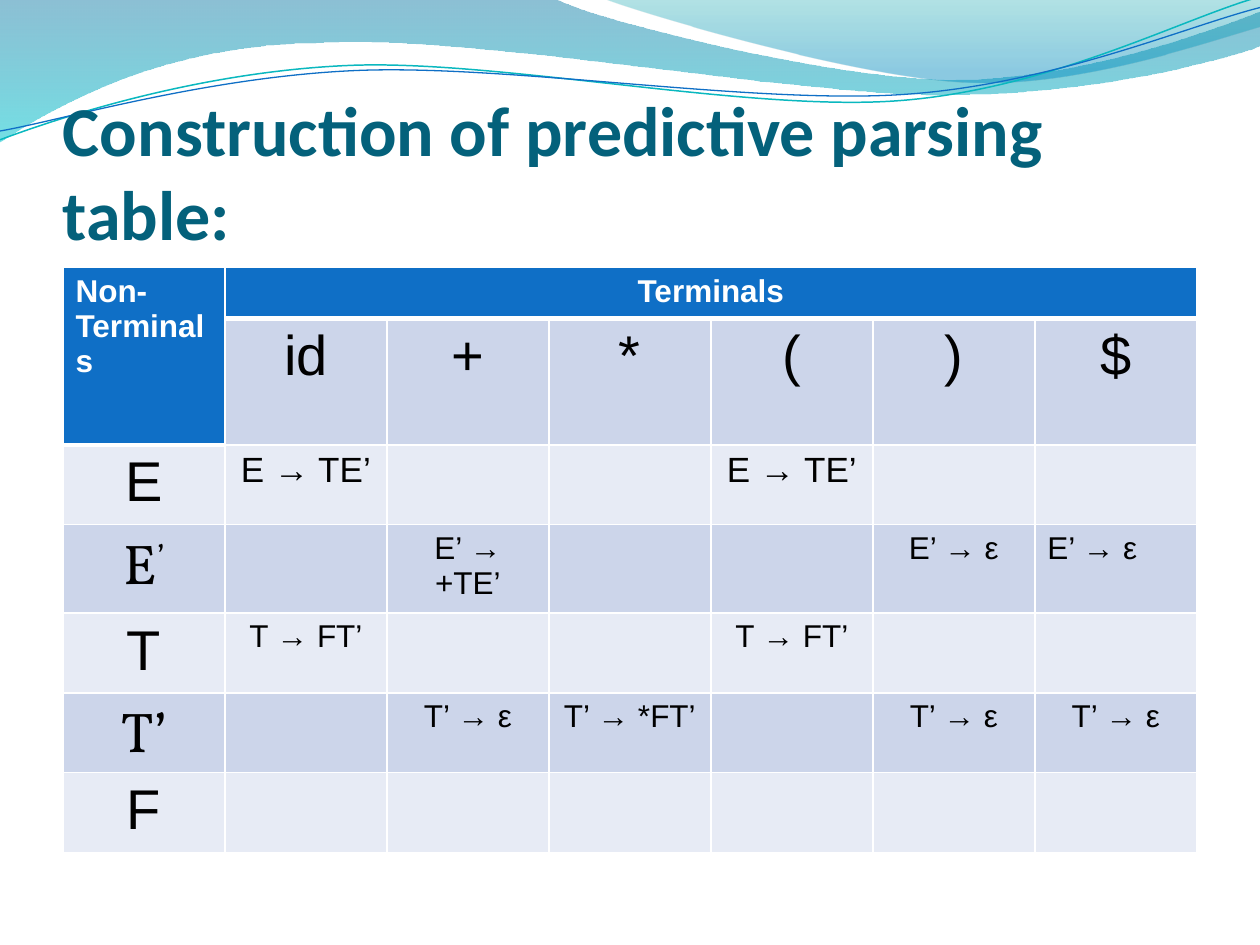
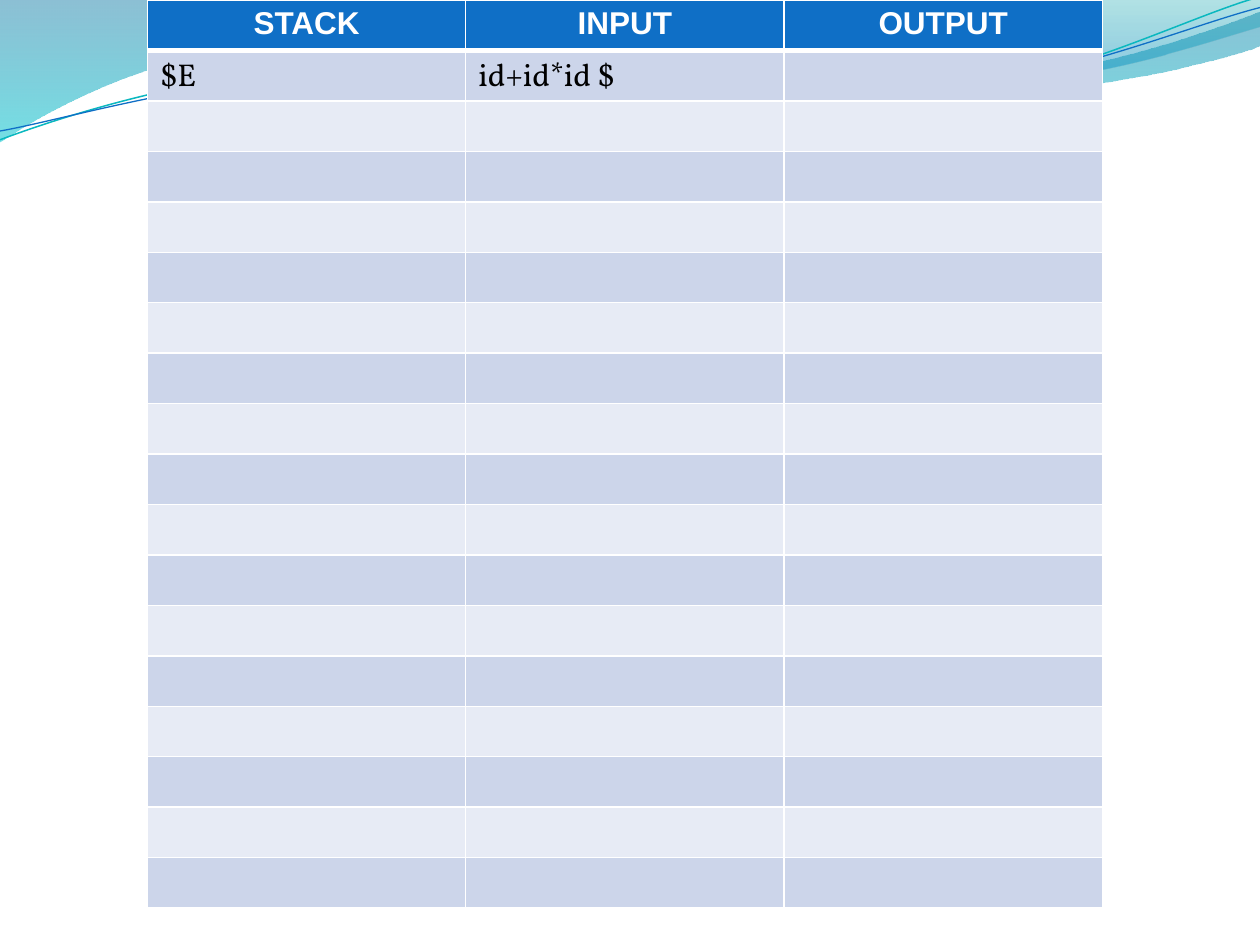
"""Build two slides on predictive parsing: the parsing table and the parser trace."""
from copy import deepcopy
from dataclasses import dataclass

from lxml import etree
from pptx import Presentation
from pptx import util as u
from pptx.dml import color
from pptx.enum import text
from pptx.oxml import ns

HEADER_BLUE, WHITE, BLACK = "0F6FC6", "FFFFFF", "000000"
BANDS = ("E7EBF5", "CCD5EA")
SANS, SERIF, TITLE_FONT = "Arial", "Vollkorn", "Calibri"
LEFT, CENTER = text.PP_ALIGN.LEFT, text.PP_ALIGN.CENTER

Point = tuple[float, float]


@dataclass(frozen=True)
class Stop:
    """One gradient stop, with position and opacity as fractions."""
    position: float
    tint: str
    opacity: float


@dataclass(frozen=True)
class Wave:
    """A wave outline: a start, then lines of one point and curves of three."""
    start: Point
    segments: tuple[tuple[Point, ...], ...]
    stops: tuple[Stop, ...] = ()
    stroke: str = ""
    weight: float = 0


@dataclass(frozen=True)
class Entry:
    """The wording of one table cell; raised text follows as a superscript."""
    row: int
    column: int
    wording: str
    size: int = 18
    font: str = SANS
    align: text.PP_ALIGN = CENTER
    raised: str = ""


@dataclass(frozen=True)
class Grid:
    """A table with its place, least row height, entries and header cells."""
    left: float
    top: float
    width: float
    height: float
    rows: int
    columns: int
    row_height: float
    empty_font: str
    entries: tuple[Entry, ...]
    headers: frozenset[tuple[int, int]]
    merges: tuple[tuple[int, int, int, int], ...] = ()


WAVES = (
    Wave((0, -0.01), (
        ((4.4, -0.01),),
        ((4.76, 0.17), (6.64, 0.63), (7.58, 0.63)),
        ((8.53, 0.63), (9.58, 0.26), (10, 0.09)),
        ((10.01, 0.36),),
        ((9.83, 0.44), (8.7, 0.76), (7.46, 0.75)),
        ((6.22, 0.75), (3.82, 0.28), (2.57, 0.34)),
        ((1.29, 0.35), (0.46, 0.83), (-0.01, 1.13))),
        stops=(Stop(0, "0074A1", 0.45), Stop(1, "00C6CF", 0.55))),
    Wave((4.79, -0.01), (
        ((5.09, 0.11), (6.82, 0.62), (7.69, 0.65)),
        ((8.56, 0.69), (9.61, 0.32), (10, 0.21)),
        ((10, 0),)),
        stops=(Stop(0, "00A1A9", 0.3), Stop(0.8, "008BBF", 0.45))),
    Wave((0, 1.11), (
        ((0.48, 0.93), (1.58, 0.57), (2.77, 0.52)),
        ((3.95, 0.47), (5.93, 0.89), (7.13, 0.8)),
        ((8.33, 0.71), (9.38, 0.15), (9.98, -0.02))),
        stroke="0AB8BF", weight=0.85),
    Wave((0, 1.04), (
        ((0.47, 0.96), (1.64, 0.61), (2.83, 0.56)),
        ((4.03, 0.51), (5.97, 0.83), (7.17, 0.75)),
        ((8.36, 0.67), (9.41, 0.21), (10, 0.06))),
        stroke=HEADER_BLUE, weight=0.75),
)

TERMINALS = ("id", "+", "*", "(", ")", "$")

PARSING_TABLE = Grid(
    0.5, 2.12, 9, 4.21, 7, 7, 0.41, SANS,
    (
        Entry(0, 0, "Non-Terminals", align=LEFT),
        Entry(0, 1, "Terminals"),
        *(Entry(1, column, terminal, 32) for column, terminal in enumerate(TERMINALS, 1)),
        Entry(2, 0, "E", 32),
        Entry(3, 0, "E", 32, SERIF, raised="’"),
        Entry(4, 0, "T", 32),
        Entry(5, 0, "T’", 32, SERIF),
        Entry(6, 0, "F", 32),
        *(Entry(2, column, "E → TE’", 20) for column in (1, 4)),
        Entry(3, 2, "E’ → +TE’"),
        Entry(3, 5, "E’ → ε"),
        Entry(3, 6, "E’ → ε", align=LEFT),
        *(Entry(4, column, "T → FT’") for column in (1, 4)),
        *(Entry(5, column, "T’ → ε") for column in (2, 5, 6)),
        Entry(5, 3, "T’ → *FT’"),
    ),
    frozenset({(1, 0), *((0, column) for column in range(7))}),
    ((0, 0, 1, 0), (0, 1, 0, 6)),
)

PARSER_TRACE = Grid(
    1.17, 0, 7.58, 7.2, 18, 3, 0.32, SERIF,
    (
        *(Entry(0, column, label) for column, label in enumerate(("STACK", "INPUT", "OUTPUT"))),
        Entry(1, 0, "$E", font=SERIF, align=LEFT),
        Entry(1, 1, "id+id*id $", font=SERIF, align=LEFT),
    ),
    frozenset((0, column) for column in range(3)),
)


def rgb(value: str) -> color.RGBColor:
    """Turn a hex string into a colour."""
    return color.RGBColor.from_string(value)


def bend(shape, segments: tuple[tuple[Point, ...], ...]) -> None:
    """Join the straight steps of each three-point segment into one curve."""
    steps = iter(list(shape.element.iter(ns.qn("a:lnTo"))))
    for segment in segments:
        parts = [next(steps) for _ in segment]
        if len(parts) == 3:
            curve = etree.Element(ns.qn("a:cubicBezTo"))
            parts[0].addprevious(curve)
            for part in parts:
                curve.append(part[0])
                part.getparent().remove(part)


def draw_wave(slide, wave: Wave) -> None:
    """Draw one wave as a gradient band or as a thin line."""
    points = [wave.start, *(point for segment in wave.segments for point in segment)]
    outline = [(u.Inches(x), u.Inches(y)) for x, y in points]
    builder = slide.shapes.build_freeform(*outline[0])
    builder.add_line_segments(outline[1:], close=bool(wave.stops))
    shape = builder.convert_to_shape()
    bend(shape, wave.segments)
    shape.shadow.inherit = False
    if not wave.stops:
        shape.fill.background()
        shape.line.color.rgb = rgb(wave.stroke)
        shape.line.width = u.Pt(wave.weight)
        return
    shape.line.fill.background()
    shape.fill.gradient()
    shape.fill.gradient_angle = 270
    for gradient_stop, stop in zip(shape.fill.gradient_stops, wave.stops):
        gradient_stop.position = stop.position
        gradient_stop.color.rgb = rgb(stop.tint)
    for tint, stop in zip(shape.element.iter(ns.qn("a:srgbClr")), wave.stops):
        etree.SubElement(tint, ns.qn("a:alpha"), val=str(round(stop.opacity * 100000)))


def style(paragraph, font: str, size: int, ink: str, bold: bool) -> None:
    """Set the font of a whole paragraph, its end mark included."""
    paragraph.font.name = font
    paragraph.font.size = u.Pt(size)
    paragraph.font.color.rgb = rgb(ink)
    paragraph.font.bold = bold
    end_mark = deepcopy(paragraph.font._element)
    end_mark.tag = ns.qn("a:endParaRPr")
    paragraph._p.append(end_mark)


def draw_title(slide, wording: str) -> None:
    """Write the slide title, resting on the bottom of its box."""
    box = slide.shapes.add_textbox(u.Inches(0.5), u.Inches(0.77), u.Inches(9), u.Inches(1.25))
    frame = box.text_frame
    frame.word_wrap = True
    frame.vertical_anchor = text.MSO_ANCHOR.BOTTOM
    frame.margin_left = frame.margin_right = frame.margin_bottom = 0
    frame.margin_top = u.Inches(0.05)
    heading = frame.paragraphs[0]
    heading.text = wording
    style(heading, TITLE_FONT, 40, "04617B", True)


def set_borders(cell, top: float, bottom: float) -> None:
    """Give a cell white borders, placed ahead of its fill."""
    properties = cell._tc.get_or_add_tcPr()
    for index, (side, weight) in enumerate((("L", 1), ("R", 1), ("T", top), ("B", bottom))):
        border = etree.Element(ns.qn(f"a:ln{side}"), w=str(u.Pt(weight)))
        paint = etree.SubElement(border, ns.qn("a:solidFill"))
        etree.SubElement(paint, ns.qn("a:srgbClr"), val=WHITE)
        properties.insert(index, border)


def write_entry(cell, entry: Entry, is_header: bool) -> None:
    """Write one entry into its cell."""
    paragraph = cell.text_frame.paragraphs[0]
    paragraph.alignment = entry.align
    if entry.wording:
        paragraph.add_run().text = entry.wording
    if entry.raised:
        superscript = paragraph.add_run()
        superscript.text = entry.raised
        superscript.font._element.set("baseline", "30000")
    style(paragraph, entry.font, entry.size, WHITE if is_header else BLACK, is_header)


def draw_grid(slide, grid: Grid) -> None:
    """Draw a banded table with blue header cells."""
    frame = slide.shapes.add_table(
        grid.rows, grid.columns, u.Inches(grid.left), u.Inches(grid.top),
        u.Inches(grid.width), u.Inches(grid.height))
    table = frame.table
    table.first_row = table.horz_banding = False
    entries = {(entry.row, entry.column): entry for entry in grid.entries}
    for row in range(grid.rows):
        table.rows[row].height = u.Inches(grid.row_height)
        for column in range(grid.columns):
            place = (row, column)
            cell = table.cell(*place)
            is_header = place in grid.headers
            below_header = (row - 1, column) in grid.headers and not is_header
            cell.fill.solid()
            cell.fill.fore_color.rgb = rgb(HEADER_BLUE if is_header else BANDS[row % 2])
            set_borders(cell, 3 if below_header else 1, 3 if is_header else 1)
            empty = Entry(row, column, "", font=grid.empty_font, align=LEFT)
            write_entry(cell, entries.get(place, empty), is_header)
    for top, left, bottom, right in grid.merges:
        table.cell(top, left).merge(table.cell(bottom, right))
    frame.height = u.Inches(grid.height)


def add_slide(deck, grid: Grid, title: str = "") -> None:
    """Add a slide with the waves, an optional title and a table."""
    slide = deck.slides.add_slide(deck.slide_layouts[6])
    for wave in WAVES:
        draw_wave(slide, wave)
    if title:
        draw_title(slide, title)
    draw_grid(slide, grid)


def main() -> None:
    """Build and save the presentation."""
    deck = Presentation()
    deck.slide_width, deck.slide_height = u.Inches(10), u.Inches(7.5)
    add_slide(deck, PARSING_TABLE, "Construction of predictive parsing table:")
    add_slide(deck, PARSER_TRACE)
    deck.save("out.pptx")


if __name__ == "__main__":
    main()
